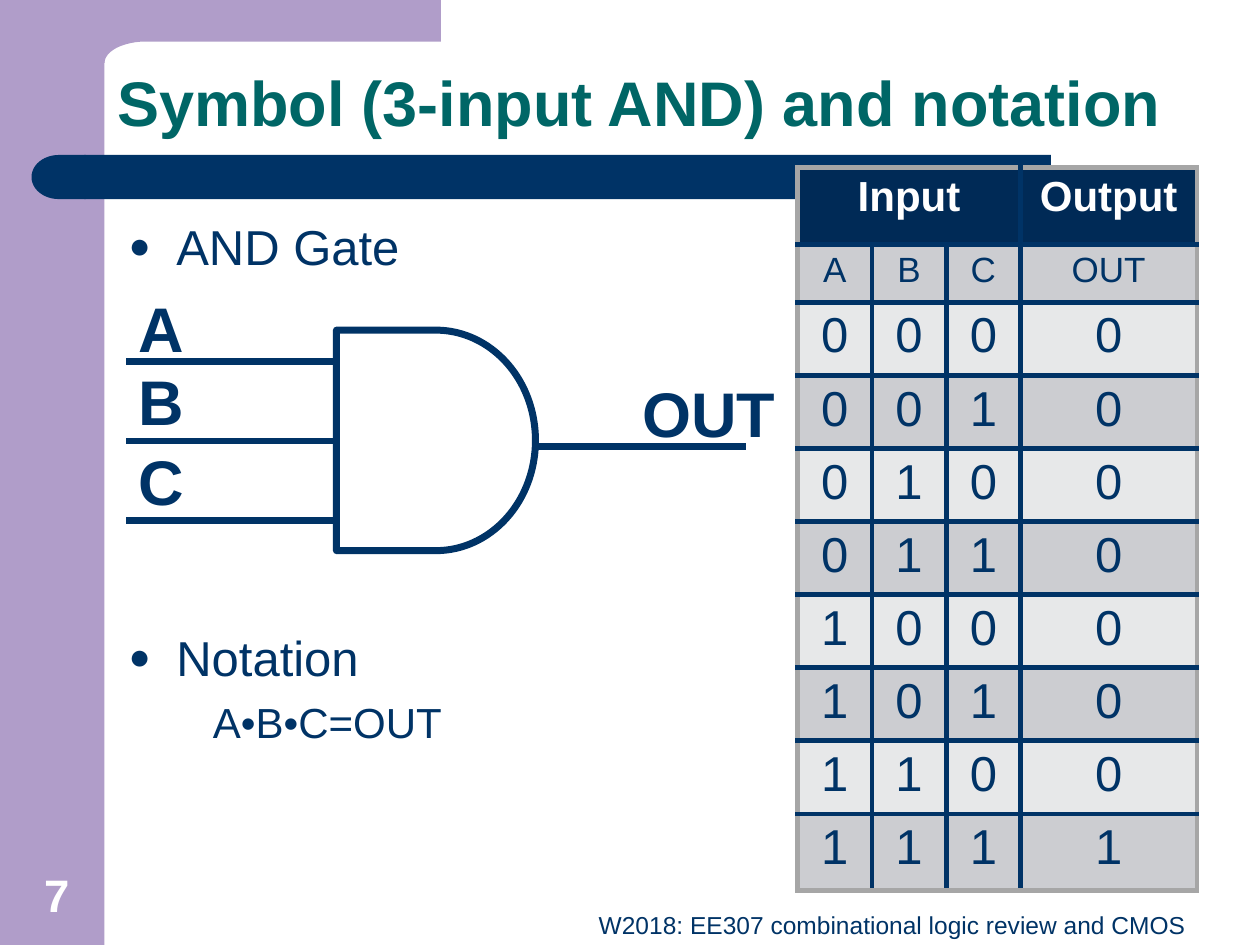
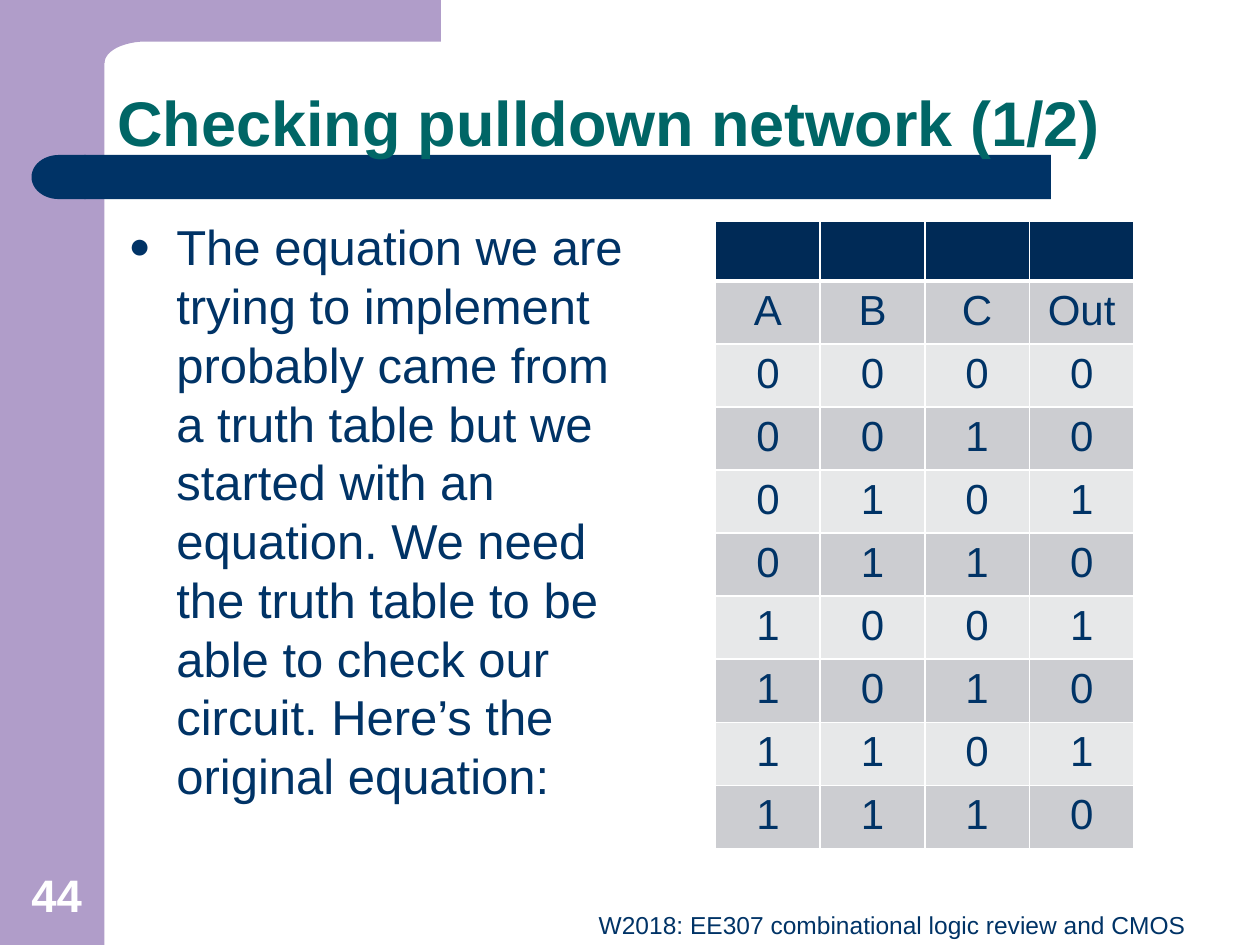
import math

import lxml.etree
import pptx
import pptx.dml.color
import pptx.enum.shapes
import pptx.enum.text
import pptx.oxml.ns
import pptx.util

Inches, Pt = pptx.util.Inches, pptx.util.Pt
RGBColor = pptx.dml.color.RGBColor
SHAPE = pptx.enum.shapes.MSO_SHAPE
ALIGN = pptx.enum.text.PP_ALIGN
ANCHOR = pptx.enum.text.MSO_ANCHOR
qn = pptx.oxml.ns.qn

NAVY = RGBColor(0x00, 0x33, 0x66)
HEADER_NAVY = RGBColor(0x00, 0x2A, 0x56)
TEAL = RGBColor(0x00, 0x66, 0x66)
LILAC = RGBColor(0xB0, 0x9D, 0xC9)
WHITE = RGBColor(0xFF, 0xFF, 0xFF)
FRAME_GREY = RGBColor(0xA6, 0xA6, 0xA6)
BAND_DARK = RGBColor(0xCC, 0xCD, 0xD1)
BAND_LIGHT = RGBColor(0xE7, 0xE8, 0xE9)
FONT = "Arial"
FOOTER = "W2018: EE307 combinational logic review and CMOS"


def write(paragraph, text, size, color=NAVY, bold=False, align=ALIGN.LEFT):
    run = paragraph.add_run()
    run.text = text
    run.font.name = FONT
    run.font.size = Pt(size)
    run.font.color.rgb = color
    run.font.bold = bold
    paragraph.alignment = align


def set_border(cell, side, color, width):
    """Draw one side (lnL, lnR, lnT or lnB) of a table cell."""
    line = lxml.etree.SubElement(cell._tc.get_or_add_tcPr(), qn(f"a:{side}"), w=str(Pt(width)))
    fill = lxml.etree.SubElement(line, qn("a:solidFill"))
    lxml.etree.SubElement(fill, qn("a:srgbClr"), val=str(color))


# Rows of inputs A, B, C in counting order, each followed by its output
inputs = [f"{n:03b}" for n in range(8)]
and_rows = [list(bits + out) for bits, out in zip(inputs, "00000001")]
pulldown_rows = [list(bits + out) for bits, out in zip(inputs, "00101010")]

# Body lines: text, size, level, space before in points
lessons = [
    dict(
        title="Symbol (3-input AND) and notation", number="7",
        title_at=(0.83, 0.33, 8.67, 0.83), body_width=8.41,
        body=[("AND Gate", 28, 0, 0), ("Notation", 28, 0, 201), ("A•B•C=OUT", 24, 1, 6)],
        rows=[["Input", "", "", "Output"], ["A", "B", "C", "OUT"]] + and_rows,
        table_at=(6.33, 1.33), columns=[0.59, 0.59, 0.59, 1.4],
        heights=[0.61, 0.46] + [0.58] * 7 + [0.61], sizes=(24, 20, 28),
        outer=FRAME_GREY, inner=NAVY, border=3, merge_inputs=True,
    ),
    dict(
        title="Checking pulldown network (1/2)", number="44",
        title_at=(0.83, 0.49, 9.17, 0.83), body_width=4.19,
        body=[("The equation we are trying to implement probably came from a truth table "
               "but we started with an equation. We need the truth table to be able to check "
               "our circuit. Here’s the original equation:", 28, 0, 0)],
        rows=[[""] * 4, ["A", "B", "C", "Out"]] + pulldown_rows,
        table_at=(5.68, 1.76), columns=[0.83] * 4,
        heights=[0.47] * 10, sizes=(24, 24, 24),
        outer=WHITE, inner=WHITE, border=1, merge_inputs=False,
    ),
]

deck = pptx.Presentation()
deck.slide_width, deck.slide_height = Inches(10), Inches(7.5)

for lesson in lessons:
    slide = deck.slides.add_slide(deck.slide_layouts[1])
    shapes = slide.shapes

    # Side band, top band with its rounded inner corner, and title rule
    sweep = [math.pi / 2 * step / 12 for step in range(13)]
    corner = [(1.16 - 0.33 * math.sin(a), 0.5 - 0.17 * math.cos(a)) for a in sweep]
    outline = shapes.build_freeform(Inches(0.5), 0)
    outline.add_line_segments(
        [(Inches(x), Inches(y)) for x, y in [(3.5, 0), (3.5, 0.33)] + corner + [(0.5, 0.5)]])
    side_band = shapes.add_shape(SHAPE.RECTANGLE, 0, 0, Inches(0.83), Inches(7.5))
    top_band = outline.convert_to_shape()
    rule = shapes.add_shape(SHAPE.RECTANGLE, Inches(0.67), Inches(1.23), Inches(7.67), Inches(0.35))
    rule_cap = shapes.add_shape(
        SHAPE.FLOWCHART_DELAY, Inches(0.25), Inches(1.23), Inches(0.43), Inches(0.35))
    rule_cap.rotation = 180
    for part, color in [(side_band, LILAC), (top_band, LILAC), (rule, NAVY), (rule_cap, NAVY)]:
        part.shadow.inherit = False
        part.fill.solid()
        part.fill.fore_color.rgb = color
        part.line.fill.background()

    # Title and list, brought in front of the bands
    title, body = shapes.title, slide.placeholders[1]
    body_at = (0.92, 1.67, lesson["body_width"], 4.99)
    for holder, at, anchor in [(title, lesson["title_at"], ANCHOR.BOTTOM),
                               (body, body_at, ANCHOR.TOP)]:
        holder.left, holder.top, holder.width, holder.height = map(Inches, at)
        holder.text_frame.auto_size = pptx.enum.text.MSO_AUTO_SIZE.NONE
        holder.text_frame.vertical_anchor = anchor
        holder.element.getparent().append(holder.element)
    heading = title.text_frame.paragraphs[0]
    heading.line_spacing = 0.9
    write(heading, lesson["title"], 36, TEAL, bold=True)

    for i, (text, size, level, before) in enumerate(lesson["body"]):
        item = body.text_frame.add_paragraph() if i else body.text_frame.paragraphs[0]
        write(item, text, size)
        item.level = level
        item.space_before = Pt(before)
        item.line_spacing = Pt(1.2 * size)
        props = item._p.get_or_add_pPr()
        if level:
            props.set("marL", str(Inches(0.67)))
            props.set("indent", "0")
            lxml.etree.SubElement(props, qn("a:buNone"))
        else:
            props.set("marL", str(Inches(0.38)))
            props.set("indent", str(Inches(-0.38)))
            bullet_color = lxml.etree.SubElement(props, qn("a:buClr"))
            lxml.etree.SubElement(bullet_color, qn("a:srgbClr"), val=str(NAVY))
            lxml.etree.SubElement(props, qn("a:buSzPct"), val="75000")
            lxml.etree.SubElement(props, qn("a:buFont"), typeface=FONT)
            lxml.etree.SubElement(props, qn("a:buChar"), char="●")

    # Footer and page number
    footer = shapes.add_textbox(Inches(3.42), Inches(7.17), Inches(6.09), Inches(0.52)).text_frame
    footer.word_wrap = True
    write(footer.paragraphs[0], FOOTER, 14, align=ALIGN.RIGHT)
    number = shapes.add_textbox(0, Inches(6.83), Inches(0.9), Inches(0.53)).text_frame
    number.word_wrap = True
    number.vertical_anchor = ANCHOR.BOTTOM
    write(number.paragraphs[0], lesson["number"], 26, WHITE, bold=True, align=ALIGN.CENTER)

    # Truth table
    rows, columns, heights = lesson["rows"], lesson["columns"], lesson["heights"]
    left, top = map(Inches, lesson["table_at"])
    truth = shapes.add_table(len(rows), len(columns), left, top,
                             Inches(sum(columns)), Inches(sum(heights))).table
    truth.first_row = truth.horz_banding = False
    for column, width in zip(truth.columns, columns):
        column.width = Inches(width)
    for row, height in zip(truth.rows, heights):
        row.height = Inches(height)
    if lesson["merge_inputs"]:
        truth.cell(0, 0).merge(truth.cell(0, 2))
    for r, values in enumerate(rows):
        for c, value in enumerate(values):
            cell = truth.cell(r, c)
            edges = [("lnL", c == 0), ("lnR", c == len(columns) - 1),
                     ("lnT", r == 0), ("lnB", r == len(rows) - 1)]
            for side, is_outer in edges:
                under_header = (r, side) in [(0, "lnB"), (1, "lnT")]
                set_border(cell, side, lesson["outer"] if is_outer else lesson["inner"],
                           3 if under_header else lesson["border"])
            cell.fill.solid()
            cell.fill.fore_color.rgb = HEADER_NAVY if r == 0 else BAND_DARK if r % 2 else BAND_LIGHT
            if value:
                write(cell.text_frame.paragraphs[0], value, lesson["sizes"][min(r, 2)],
                      WHITE if r == 0 else NAVY, bold=r == 0, align=ALIGN.CENTER)

# AND gate symbol on the first slide
shapes = deck.slides[0].shapes
gate = shapes.add_shape(SHAPE.FLOWCHART_DELAY, Inches(2.67), Inches(2.62), Inches(1.58), Inches(1.75))
gate.shadow.inherit = False
gate.fill.solid()
gate.fill.fore_color.rgb = WHITE
gate.line.color.rgb = NAVY
gate.line.width = Pt(4)

# Signal name, wire start, wire height, label position and width
signals = [("A", 1, 2.87, 1, 2.25, 0.57), ("B", 1, 3.5, 1, 2.83, 0.57),
           ("C", 1, 4.13, 1, 3.46, 0.57), ("OUT", 4.25, 3.54, 5, 2.92, 1.27)]
for name, start, wire_y, label_x, label_y, label_width in signals:
    wire = shapes.add_connector(pptx.enum.shapes.MSO_CONNECTOR.STRAIGHT, Inches(start),
                                Inches(wire_y), Inches(start + 1.67), Inches(wire_y))
    wire.line.color.rgb = NAVY
    wire.line.width = Pt(4)
    lxml.etree.SubElement(wire._element.spPr, qn("a:effectLst"))
    label = shapes.add_textbox(
        Inches(label_x), Inches(label_y), Inches(label_width), Inches(0.71)).text_frame
    label.word_wrap = False
    write(label.paragraphs[0], name, 36, bold=True)

deck.save("out.pptx")
